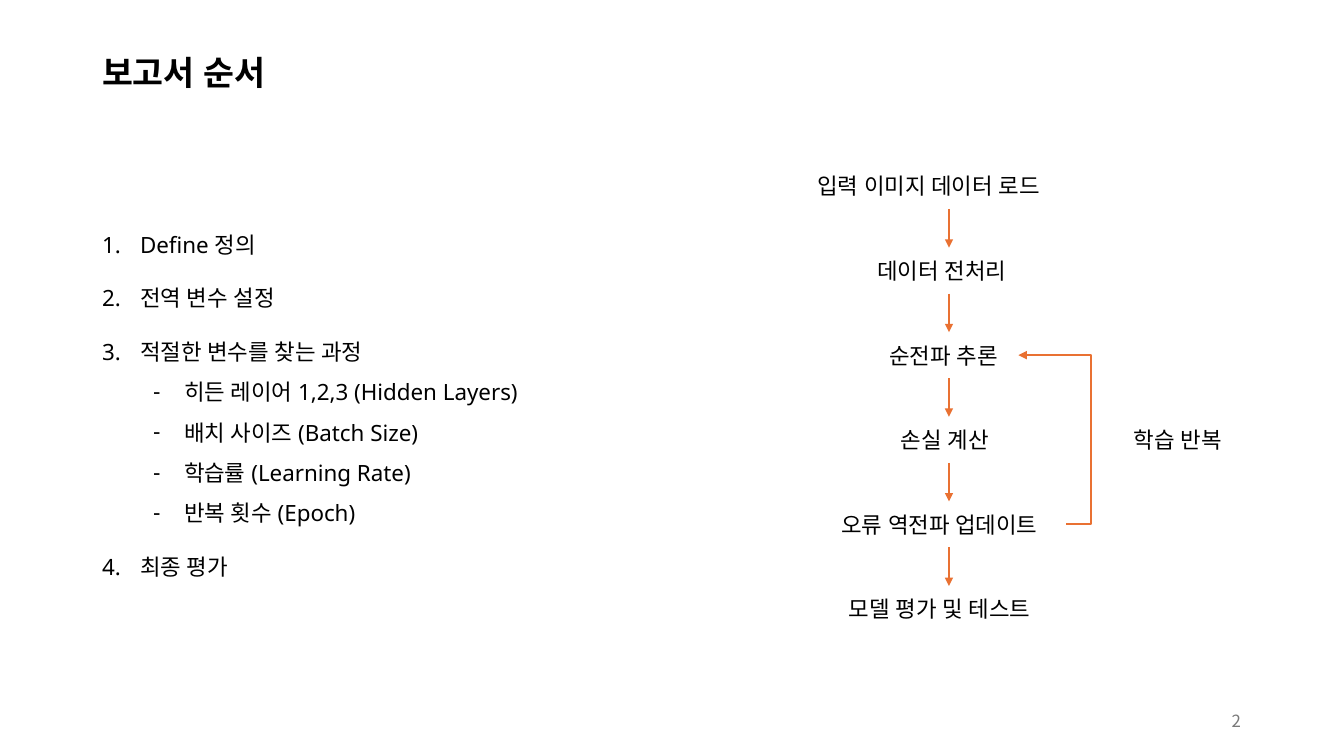
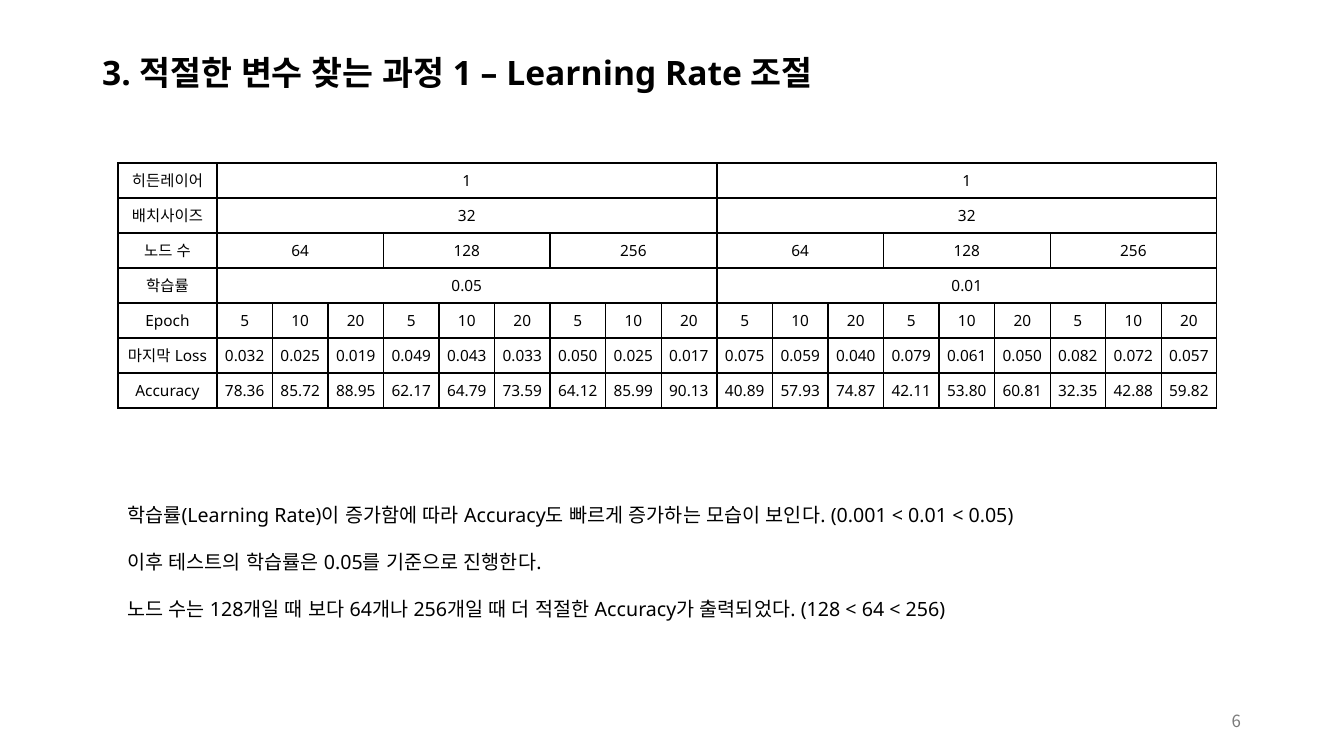
from lxml import etree
from pptx import Presentation
from pptx.dml.color import RGBColor
from pptx.enum.shapes import MSO_CONNECTOR, MSO_SHAPE
from pptx.enum.text import MSO_ANCHOR, MSO_AUTO_SIZE, PP_ALIGN
from pptx.oxml.ns import qn
from pptx.util import Emu, Pt

STRAIGHT, ELBOW = MSO_CONNECTOR.STRAIGHT, MSO_CONNECTOR.ELBOW
RECTANGLE = MSO_SHAPE.RECTANGLE
MIDDLE = MSO_ANCHOR.MIDDLE
NO_AUTOFIT = MSO_AUTO_SIZE.NONE
LEFT, CENTER, RIGHT = PP_ALIGN.LEFT, PP_ALIGN.CENTER, PP_ALIGN.RIGHT

BLACK = RGBColor(0x00, 0x00, 0x00)
WHITE = RGBColor(0xFF, 0xFF, 0xFF)
GRAY = RGBColor(0x79, 0x79, 0x79)
ORANGE = RGBColor(0xE9, 0x71, 0x32)
FONT, NUMBER_FONT = "Noto Sans", "Noto Sans CJK KR"

EMU_PER_PX = 12192000 / 1344
TITLE_BOX = (92, 40, 1159, 70)
NUMBER_BOX = (949, 701, 302, 40)

NUMBERED, DASHED, PLAIN = "numbered", "dashed", "plain"
AGENDA_BOX = (92, 157, 1123, 497)
AGENDA = [
    (NUMBERED, "Define 정의"),
    (NUMBERED, "전역 변수 설정"),
    (NUMBERED, "적절한 변수를 찾는 과정"),
    (DASHED, "히든 레이어 1,2,3 (Hidden Layers)"),
    (DASHED, "배치 사이즈 (Batch Size)"),
    (DASHED, "학습률 (Learning Rate)"),
    (DASHED, "반복 횟수 (Epoch)"),
    (NUMBERED, "최종 평가"),
]
INDENTS = {NUMBERED: (38, -38), DASHED: (82, -31), PLAIN: (0, 0)}

STEPS = [
    ("입력 이미지 데이터 로드", 283),
    ("데이터 전처리", 163),
    ("순전파 추론", 139),
    ("손실 계산", 116),
    ("오류 역전파 업데이트", 235),
    ("모델 평가 및 테스트", 220),
]
FLOW_CENTER, FLOW_TOP, FLOW_LAST_TOP, STEP_HEIGHT = 949, 163, 586, 46
LOOP_FROM, LOOP_TO, LOOP_X = 4, 2, 1091
LOOP_LABEL, LOOP_LABEL_STEP, LOOP_LABEL_LEFT = "학습 반복", 3, 1124

RESULT_LABELS = ["히든레이어", "배치사이즈", "노드 수", "학습률", "Epoch", "마지막 Loss", "Accuracy"]
NODES = ["64", "128", "256"]
EPOCHS = ["5", "10", "20"] * len(NODES)
RESULTS_05 = [
    ["1"], ["32"], NODES, ["0.05"], EPOCHS,
    ["0.032", "0.025", "0.019", "0.049", "0.043", "0.033", "0.050", "0.025", "0.017"],
    ["78.36", "85.72", "88.95", "62.17", "64.79", "73.59", "64.12", "85.99", "90.13"],
]
RESULTS_01 = [
    ["1"], ["32"], NODES, ["0.01"], EPOCHS,
    ["0.075", "0.059", "0.040", "0.079", "0.061", "0.050", "0.082", "0.072", "0.057"],
    ["40.89", "57.93", "74.87", "42.11", "53.80", "60.81", "32.35", "42.88", "59.82"],
]
RESULTS_LEFT, RESULTS_TOP, LABEL_WIDTH, VALUES_WIDTH = 118, 163, 99, 500
ROW_HEIGHT, CELL_INSET = 32, 7

FINDINGS_BOX = (117, 469, 1091, 186)
FINDINGS = [
    (PLAIN, "학습률(Learning Rate)이 증가함에 따라 Accuracy도 빠르게 증가하는 모습이 보인다. (0.001 < 0.01 < 0.05)"),
    (PLAIN, "이후 테스트의 학습률은 0.05를 기준으로 진행한다."),
    (PLAIN, "노드 수는 128개일 때 보다 64개나 256개일 때 더 적절한 Accuracy가 출력되었다. (128 < 64 < 256)"),
]


def px(length):
    return Emu(round(length * EMU_PER_PX))


def write(paragraph, text, size, color=BLACK, bold=False, align=LEFT, typeface=FONT):
    paragraph.alignment = align
    run = paragraph.add_run()
    run.text = text
    font = run.font
    font.size, font.bold, font.name = Pt(size), bold, typeface
    font.color.rgb = color
    etree.SubElement(run._r.get_or_add_rPr(), qn("a:ea"), typeface=typeface)


def place(shape, box):
    shape.left, shape.top, shape.width, shape.height = map(px, box)
    frame = shape.text_frame
    frame.auto_size = NO_AUTOFIT
    frame.vertical_anchor = MIDDLE
    return frame


def paint_white(shape):
    shape.fill.solid()
    shape.fill.fore_color.rgb = WHITE


def add_label(slide, left, top, width, text):
    label = slide.shapes.add_shape(RECTANGLE, 0, 0, 0, 0)
    label.shadow.inherit = False
    label.line.fill.background()
    paint_white(label)
    frame = place(label, (left, top, width, STEP_HEIGHT))
    frame.word_wrap = False
    write(frame.paragraphs[0], text, 16)


def add_page(prs, title, number):
    slide = prs.slides.add_slide(prs.slide_layouts[1])
    heading = place(slide.shapes.title, TITLE_BOX).paragraphs[0]
    heading.line_spacing = 0.9
    write(heading, title, 24, bold=True)
    footer = place(slide.shapes.add_textbox(0, 0, 0, 0), NUMBER_BOX)
    footer.word_wrap = True
    write(footer.paragraphs[0], number, 12, color=GRAY, align=RIGHT, typeface=NUMBER_FONT)
    return slide


def fill_body(slide, box, items, size):
    body = slide.placeholders[1]
    paint_white(body)
    frame = place(body, box)
    line = size * 1.2
    for i, (kind, text) in enumerate(items):
        paragraph = frame.paragraphs[0] if i == 0 else frame.add_paragraph()
        nested = kind == DASHED
        paragraph.level = int(nested)
        paragraph.line_spacing = Pt(line * 1.5 if nested else line)
        paragraph.space_before = Pt(0 if nested or i == 0 else line)
        paragraph.space_after = Pt(0)
        props = paragraph._p.get_or_add_pPr()
        margin, indent = INDENTS[kind]
        props.set("marL", str(px(margin)))
        props.set("indent", str(px(indent)))
        if kind == NUMBERED:
            etree.SubElement(props, qn("a:buAutoNum"), type="arabicPeriod")
        elif nested:
            etree.SubElement(props, qn("a:buChar"), char="-")
        else:
            etree.SubElement(props, qn("a:buNone"))
        write(paragraph, text, size)


def add_arrow(slide, kind, start, end):
    arrow = slide.shapes.add_connector(kind, *map(px, start + end))
    arrow.line.color.rgb = ORANGE
    arrow.line.width = Pt(1.5)
    etree.SubElement(arrow.line._get_or_add_ln(), qn("a:tailEnd"), type="triangle")
    etree.SubElement(arrow._element.spPr, qn("a:effectLst"))
    return arrow


def add_flow(slide):
    pitch = (FLOW_LAST_TOP - FLOW_TOP) / (len(STEPS) - 1)
    tops = [FLOW_TOP + i * pitch for i in range(len(STEPS))]
    for (text, width), top in zip(STEPS, tops):
        add_label(slide, FLOW_CENTER - width / 2, top, width, text)
    for top, next_top in zip(tops, tops[1:]):
        add_arrow(slide, STRAIGHT, (FLOW_CENTER, top + STEP_HEIGHT), (FLOW_CENTER, next_top))

    start, end = [(FLOW_CENTER + STEPS[i][1] / 2, tops[i] + STEP_HEIGHT / 2)
                  for i in (LOOP_FROM, LOOP_TO)]
    loop = add_arrow(slide, ELBOW, start, end)
    bend = round((start[0] - LOOP_X) / (start[0] - end[0]) * 100000)
    adjustments = loop._element.spPr.find(qn("a:prstGeom")).find(qn("a:avLst"))
    etree.SubElement(adjustments, qn("a:gd"), name="adj1", fmla=f"val {bend}")
    add_label(slide, LOOP_LABEL_LEFT, tops[LOOP_LABEL_STEP], 116, LOOP_LABEL)


def style_cell(cell):
    cell.margin_left = cell.margin_right = px(CELL_INSET)
    cell.margin_top = cell.margin_bottom = px(CELL_INSET)
    props = cell._tc.get_or_add_tcPr()
    for side in ("a:lnL", "a:lnR", "a:lnT", "a:lnB"):
        border = etree.SubElement(props, qn(side), w=str(Pt(1)))
        fill = etree.SubElement(border, qn("a:solidFill"))
        etree.SubElement(fill, qn("a:srgbClr"), val=str(BLACK))
    cell.fill.background()


def add_results(slide, left, results, labels=()):
    first = 1 if labels else 0
    value_columns = len(EPOCHS)
    widths = [LABEL_WIDTH] * first + [VALUES_WIDTH / value_columns] * value_columns
    table = slide.shapes.add_table(
        len(results), len(widths), px(left), px(RESULTS_TOP),
        px(sum(widths)), px(ROW_HEIGHT * len(results))).table
    table.first_row = table.horz_banding = False
    for column, width in zip(table.columns, widths):
        column.width = px(width)
    for row in table.rows:
        row.height = px(ROW_HEIGHT)
    for cell in table.iter_cells():
        style_cell(cell)
    for r, values in enumerate(results):
        if labels:
            write(table.cell(r, 0).text_frame.paragraphs[0], labels[r], 11, align=CENTER)
        span = value_columns // len(values)
        for i, value in enumerate(values):
            c = first + i * span
            cell = table.cell(r, c)
            if span > 1:
                cell.merge(table.cell(r, c + span - 1))
            write(cell.text_frame.paragraphs[0], value, 11, align=CENTER)


def main():
    prs = Presentation()
    prs.slide_width, prs.slide_height = px(1344), px(756)

    agenda = add_page(prs, "보고서 순서", "2")
    fill_body(agenda, AGENDA_BOX, AGENDA, 16)
    add_flow(agenda)

    tuning = add_page(prs, "3. 적절한 변수 찾는 과정 1 – Learning Rate 조절", "6")
    fill_body(tuning, FINDINGS_BOX, FINDINGS, 14)
    add_results(tuning, RESULTS_LEFT, RESULTS_05, RESULT_LABELS)
    add_results(tuning, RESULTS_LEFT + LABEL_WIDTH + VALUES_WIDTH, RESULTS_01)

    prs.save("out.pptx")


if __name__ == "__main__":
    main()
